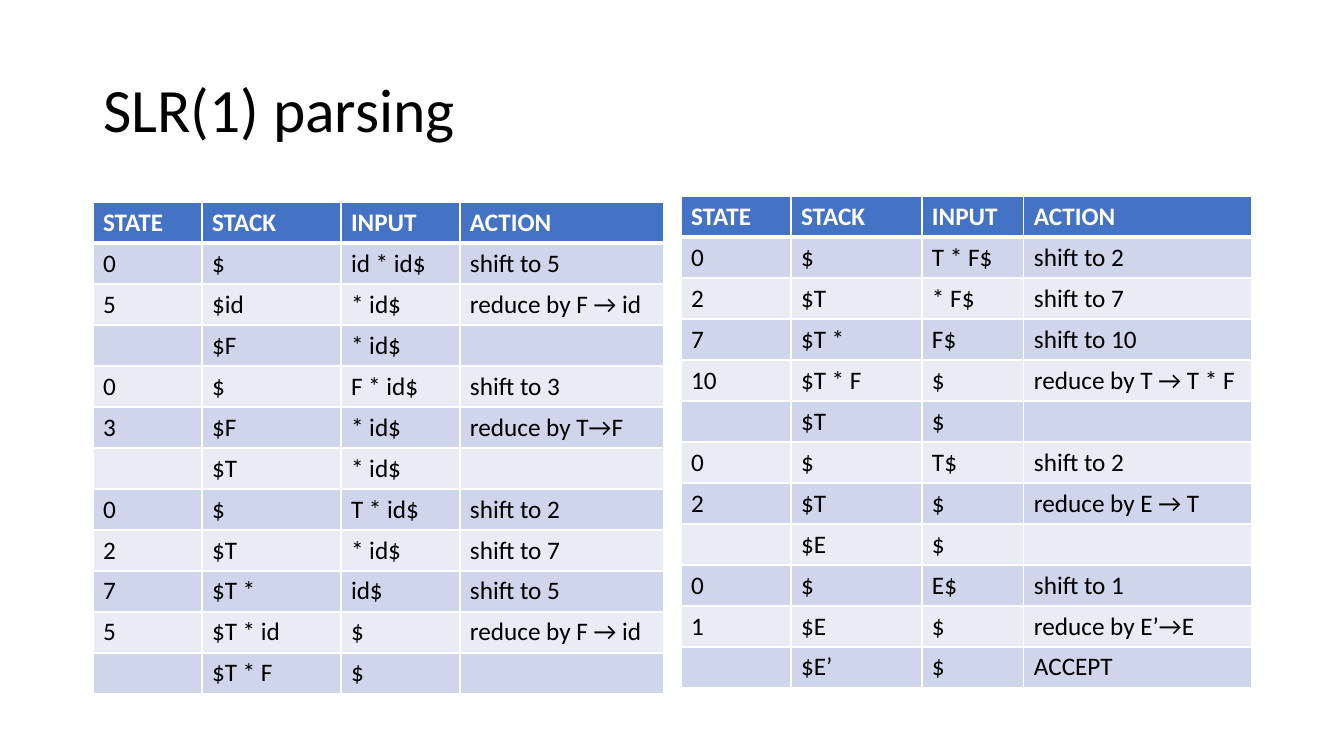
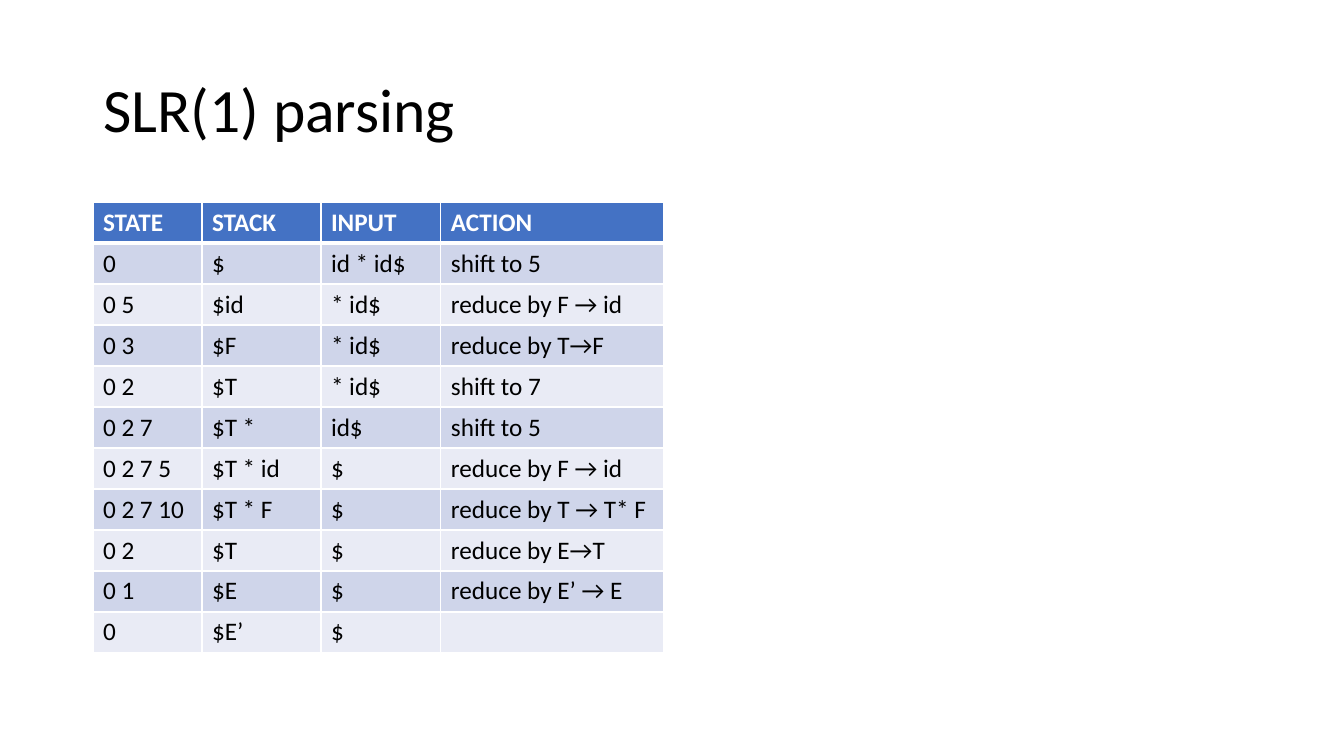
from dataclasses import dataclass

from lxml.etree import SubElement
from pptx import Presentation
from pptx.dml.color import RGBColor
from pptx.enum.text import MSO_ANCHOR, MSO_AUTO_SIZE, PP_ALIGN
from pptx.oxml.ns import qn
from pptx.presentation import Presentation as Deck
from pptx.slide import Slide
from pptx.table import _Cell as Cell
from pptx.text.text import Font
from pptx.util import Emu, Pt

EMU_PER_PX = 914400 / 100.8
SLIDE_WIDTH, SLIDE_HEIGHT = 1344, 756
ROW_HEIGHT = 41
TITLE_ONLY = 5

HEADER_FILL = "4472C4"
BAND_FILLS = ("CFD5EA", "E9EBF5")
WHITE, BLACK = "FFFFFF", "000000"
GRID_LINE, HEADER_LINE = 1, 3

TITLE_FONT = {"name": "Calibri", "size": Pt(44), "bold": False}
HEADER_FONT = {"name": "Calibri", "size": Pt(18), "bold": True}
BODY_FONT = HEADER_FONT | {"bold": False}
TITLE_FRAME = {
    "auto_size": MSO_AUTO_SIZE.NONE,
    "vertical_anchor": MSO_ANCHOR.MIDDLE,
    "word_wrap": True,
}
TITLE_PARAGRAPH = {"alignment": PP_ALIGN.LEFT, "line_spacing": 0.9}

Row = tuple[str, str, str, str]
HEADER: Row = ("STATE", "STACK", "INPUT", "ACTION")


@dataclass(frozen=True)
class ParseTable:
    left: int
    top: int
    widths: tuple[int, ...]
    steps: tuple[Row, ...]


@dataclass(frozen=True)
class ParseSlide:
    title: str
    tables: tuple[ParseTable, ...]


FIRST_STEPS = ParseTable(93, 202, (109, 139, 119, 204), (
    ("0", "$", "id * id$", "shift to 5"),
    ("5", "$id", "* id$", "reduce by F → id"),
    ("", "$F", "* id$", ""),
    ("0", "$", "F * id$", "shift to 3"),
    ("3", "$F", "* id$", "reduce by T→F"),
    ("", "$T", "* id$", ""),
    ("0", "$", "T * id$", "shift to 2"),
    ("2", "$T", "* id$", "shift to 7"),
    ("7", "$T *", "id$", "shift to 5"),
    ("5", "$T * id", "$", "reduce by F → id"),
    ("", "$T * F", "$", ""),
))
LAST_STEPS = ParseTable(681, 196, (110, 131, 102, 228), (
    ("0", "$", "T * F$", "shift to 2"),
    ("2", "$T", "* F$", "shift to 7"),
    ("7", "$T *", "F$", "shift to 10"),
    ("10", "$T * F", "$", "reduce by T → T * F"),
    ("", "$T", "$", ""),
    ("0", "$", "T$", "shift to 2"),
    ("2", "$T", "$", "reduce by E → T"),
    ("", "$E", "$", ""),
    ("0", "$", "E$", "shift to 1"),
    ("1", "$E", "$", "reduce by E’→E"),
    ("", "$E’", "$", "ACCEPT"),
))
STATE_STACK_STEPS = ParseTable(93, 202, (109, 119, 120, 223), (
    ("0", "$", "id * id$", "shift to 5"),
    ("0 5", "$id", "* id$", "reduce by F → id"),
    ("0 3", "$F", "* id$", "reduce by T→F"),
    ("0 2", "$T", "* id$", "shift to 7"),
    ("0 2 7", "$T *", "id$", "shift to 5"),
    ("0 2 7 5", "$T * id", "$", "reduce by F → id"),
    ("0 2 7 10", "$T * F", "$", "reduce by T → T* F"),
    ("0 2", "$T", "$", "reduce by E→T"),
    ("0 1", "$E", "$", "reduce by E’ → E"),
    ("0", "$E’", "$", ""),
))
SLIDES = (
    ParseSlide("SLR(1) parsing", (FIRST_STEPS, LAST_STEPS)),
    ParseSlide("SLR(1) parsing", (STATE_STACK_STEPS,)),
)


def px(length: int) -> Emu:
    return Emu(round(length * EMU_PER_PX))


def rgb(value: str) -> RGBColor:
    return RGBColor.from_string(value)


def apply(target: object, values: dict[str, object]) -> None:
    for name, value in values.items():
        setattr(target, name, value)


def format_font(font: Font, values: dict[str, object], color: str) -> None:
    apply(font, values)
    font.color.rgb = rgb(color)


def add_title(slide: Slide, text: str) -> None:
    title = slide.shapes.title
    apply(title, {"left": px(93), "top": px(40), "width": px(1159), "height": px(146)})
    apply(title.text_frame, TITLE_FRAME)
    paragraph = title.text_frame.paragraphs[0]
    apply(paragraph, TITLE_PARAGRAPH)
    run = paragraph.add_run()
    run.text = text
    format_font(run.font, TITLE_FONT, BLACK)


def add_borders(cell: Cell, top: int, bottom: int) -> None:
    """Draw white cell borders; top and bottom are widths in points."""
    properties = cell._tc.get_or_add_tcPr()
    widths = {"lnL": GRID_LINE, "lnR": GRID_LINE, "lnT": top, "lnB": bottom}
    for tag, width in widths.items():
        line = SubElement(properties, qn(f"a:{tag}"), w=str(Pt(width)))
        fill = SubElement(line, qn("a:solidFill"))
        SubElement(fill, qn("a:srgbClr"), val=WHITE)


def fill_cell(cell: Cell, text: str, row_index: int) -> None:
    is_header = row_index == 0
    add_borders(
        cell,
        top=HEADER_LINE if row_index == 1 else GRID_LINE,
        bottom=HEADER_LINE if is_header else GRID_LINE,
    )
    cell.fill.solid()
    band = BAND_FILLS[(row_index - 1) % len(BAND_FILLS)]
    cell.fill.fore_color.rgb = rgb(HEADER_FILL if is_header else band)
    if text:
        run = cell.text_frame.paragraphs[0].add_run()
        run.text = text
        if is_header:
            format_font(run.font, HEADER_FONT, WHITE)
        else:
            format_font(run.font, BODY_FONT, BLACK)


def add_parse_table(slide: Slide, data: ParseTable) -> None:
    rows = (HEADER, *data.steps)
    table = slide.shapes.add_table(
        len(rows), len(HEADER), px(data.left), px(data.top),
        px(sum(data.widths)), px(ROW_HEIGHT * len(rows)),
    ).table
    for column, width in zip(table.columns, data.widths):
        column.width = px(width)
    for row_index, texts in enumerate(rows):
        table.rows[row_index].height = px(ROW_HEIGHT)
        for column_index, text in enumerate(texts):
            fill_cell(table.cell(row_index, column_index), text, row_index)


def add_parse_slide(presentation: Deck, data: ParseSlide) -> None:
    slide = presentation.slides.add_slide(presentation.slide_layouts[TITLE_ONLY])
    add_title(slide, data.title)
    for table in data.tables:
        add_parse_table(slide, table)


def main() -> None:
    presentation = Presentation()
    presentation.slide_width = px(SLIDE_WIDTH)
    presentation.slide_height = px(SLIDE_HEIGHT)
    for data in SLIDES:
        add_parse_slide(presentation, data)
    presentation.save("out.pptx")


if __name__ == "__main__":
    main()
